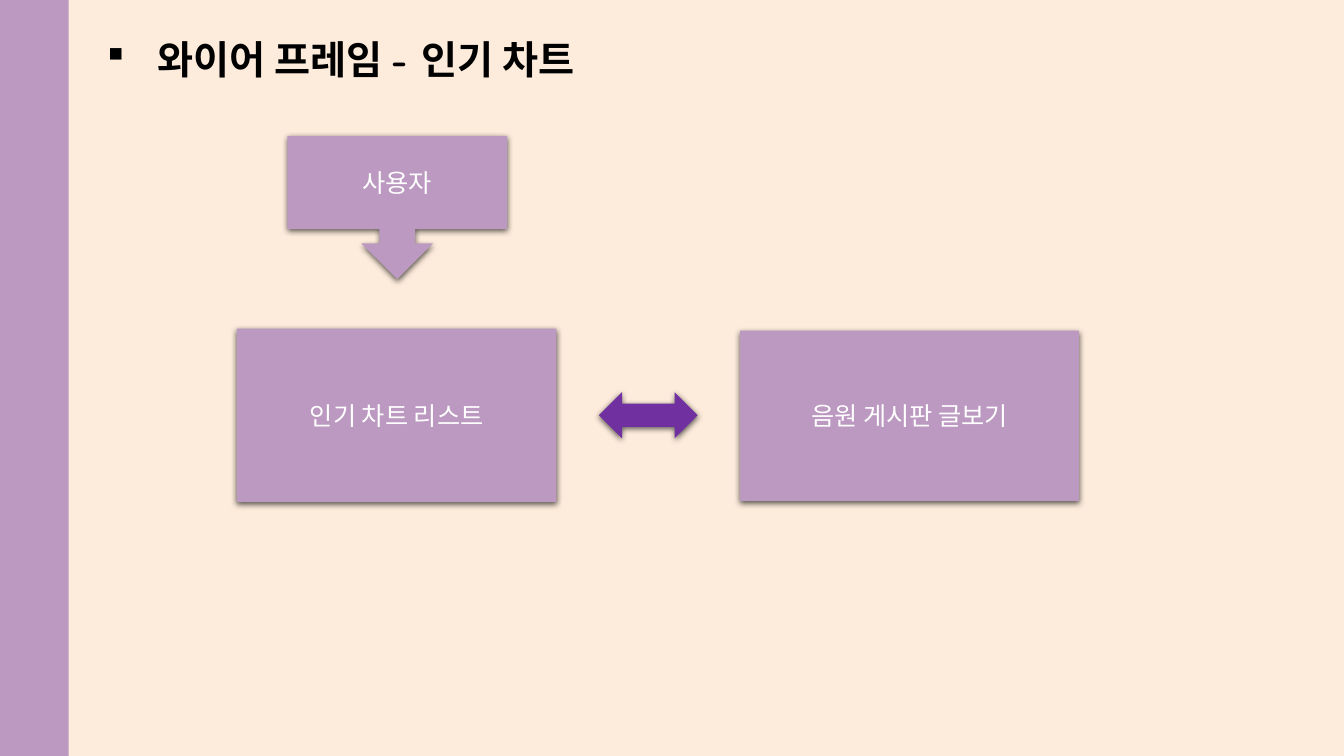
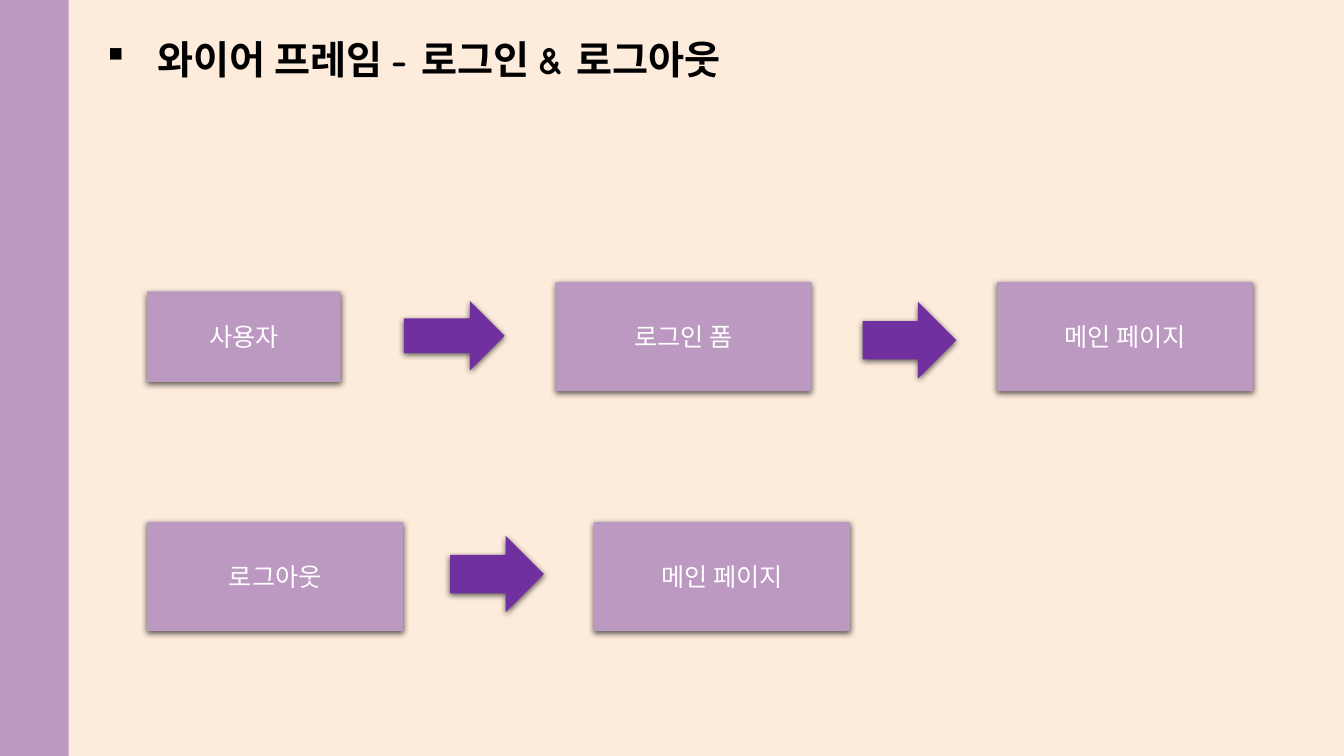
from dataclasses import dataclass

from lxml import etree
from pptx import Presentation
from pptx import util as u
from pptx.dml.color import RGBColor
from pptx.enum import shapes, text
from pptx.oxml.ns import qn

EMU_PER_PX = 9144
WIDTH, HEIGHT = 1333, 750
CREAM, LILAC, PURPLE = "FDECDC", "BC99C1", "7030A0"
BLACK, WHITE = "000000", "FFFFFF"
TITLE_FONT, BODY_FONT = "Comic Neue", "Noto Sans CJK KR"
KIND = shapes.MSO_SHAPE
FOOTERS = (
    shapes.PP_PLACEHOLDER.DATE,
    shapes.PP_PLACEHOLDER.FOOTER,
    shapes.PP_PLACEHOLDER.SLIDE_NUMBER,
)


@dataclass(frozen=True)
class Node:
    label: str
    left: int
    top: int
    width: int = 254
    height: int = 108
    kind: KIND = KIND.RECTANGLE


@dataclass(frozen=True)
class Arrow:
    left: int
    top: int
    width: int = 76
    height: int = 93
    kind: KIND = KIND.DOWN_ARROW
    rotation: int = 270


@dataclass(frozen=True)
class Panel:
    left: int
    width: int
    color: str


@dataclass(frozen=True)
class Page:
    title: str
    title_width: int
    nodes: tuple[Node, ...]
    arrows: tuple[Arrow, ...]


PANELS = (Panel(1, WIDTH - 1, CREAM), Panel(0, 68, LILAC))
PAGES = (
    Page(
        "와이어 프레임\u00a0- 인기 차트",
        689,
        (
            Node("인기 차트 리스트", 235, 326, 317, 172),
            Node("사용자", 285, 135, 218, 142, KIND.DOWN_ARROW_CALLOUT),
            Node("음원 게시판 글보기", 734, 328, 336, 169),
        ),
        (Arrow(620, 363, 46, 98, KIND.UP_DOWN_ARROW, 90),),
    ),
    Page(
        "와이어 프레임\u00a0- 로그인 & 로그아웃",
        728,
        (
            Node("사용자", 146, 289, 192, 90),
            Node("로그인 폼", 551, 280),
            Node("메인 페이지", 989, 280),
            Node("로그아웃", 146, 518),
            Node("메인 페이지", 589, 518),
        ),
        (Arrow(416, 283, 69, 100), Arrow(864, 291), Arrow(455, 523)),
    ),
)


def px(length: int) -> u.Emu:
    """Turn a length in px into EMU."""
    return u.Emu(length * EMU_PER_PX)


def color(code: str) -> RGBColor:
    """Turn a hex string into a colour."""
    return RGBColor.from_string(code)


def format_run(run, font: str, size: int, code: str, bold: bool = False) -> None:
    """Give a run its Latin and East Asian font, size and colour."""
    run.font.name = font
    run.font.size = u.Pt(size)
    run.font.bold = bold
    run.font.color.rgb = color(code)
    east_asian = etree.Element(qn("a:ea"), typeface=BODY_FONT)
    run.font._element.find(qn("a:latin")).addnext(east_asian)


def add_block(slide, kind: KIND, left: int, top: int, width: int, height: int, code: str):
    """Add a flat preset shape without outline or shadow."""
    shape = slide.shapes.add_shape(kind, px(left), px(top), px(width), px(height))
    shape.fill.solid()
    shape.fill.fore_color.rgb = color(code)
    shape.line.fill.background()
    shape.shadow.inherit = False
    return shape


def add_shadow(shape) -> None:
    """Cast a soft shadow straight down."""
    effects = shape.element.spPr.find(qn("a:effectLst"))
    shadow = etree.SubElement(
        effects, qn("a:outerShdw"), blurRad=str(u.Pt(4.5)), dist=str(u.Pt(1.5)),
        dir="5400000", algn="ctr", rotWithShape="0",
    )
    tint = etree.SubElement(shadow, qn("a:srgbClr"), val=BLACK)
    etree.SubElement(tint, qn("a:alpha"), val="63000")


def add_node(slide, node: Node) -> None:
    """Draw a labelled step of the flow."""
    shape = add_block(slide, node.kind, node.left, node.top, node.width, node.height, LILAC)
    add_shadow(shape)
    frame = shape.text_frame
    frame.text = node.label
    frame.word_wrap = True
    frame.vertical_anchor = text.MSO_ANCHOR.MIDDLE
    paragraph = frame.paragraphs[0]
    paragraph.alignment = text.PP_ALIGN.CENTER
    format_run(paragraph.runs[0], BODY_FONT, 18, WHITE)


def add_arrow(slide, arrow: Arrow) -> None:
    """Draw a block arrow between two steps."""
    shape = add_block(slide, arrow.kind, arrow.left, arrow.top, arrow.width, arrow.height, PURPLE)
    shape.rotation = arrow.rotation
    add_shadow(shape)


def set_title(slide, title: str, width: int) -> None:
    """Fill the title placeholder as one bulleted bold line."""
    shape = slide.shapes.title
    shape.left, shape.top, shape.width, shape.height = px(96), px(30), px(width), px(57)
    frame = shape.text_frame
    frame.text = title
    frame.word_wrap = True
    frame.auto_size = text.MSO_AUTO_SIZE.SHAPE_TO_FIT_TEXT
    frame.vertical_anchor = text.MSO_ANCHOR.MIDDLE
    paragraph = frame.paragraphs[0]
    paragraph.alignment = text.PP_ALIGN.LEFT
    properties = paragraph._p.get_or_add_pPr()
    properties.set("marL", str(u.Inches(0.5)))
    properties.set("indent", str(-u.Inches(0.5)))
    etree.SubElement(properties, qn("a:buFont"), typeface="Wingdings", charset="2")
    etree.SubElement(properties, qn("a:buChar"), char="§")
    format_run(paragraph.runs[0], TITLE_FONT, 28, BLACK, bold=True)


def remove_footers(template) -> None:
    """Drop the unused date, footer and number placeholders."""
    for placeholder in list(template.placeholders):
        if placeholder.placeholder_format.type in FOOTERS:
            template.shapes.element.remove(placeholder.element)


def decorate_master(master, slide) -> None:
    """Move the page panel and side band behind everything on the master."""
    for order, panel in enumerate(PANELS):
        shape = add_block(slide, KIND.RECTANGLE, panel.left, 0, panel.width, HEIGHT, panel.color)
        shape.element.nvSpPr.cNvPr.set("id", str(90 + order))
        master.shapes.element.insert(2 + order, shape.element)


def main() -> None:
    """Build and save the presentation."""
    presentation = Presentation()
    presentation.slide_width, presentation.slide_height = px(WIDTH), px(HEIGHT)
    layout = presentation.slide_layouts[5]
    master = presentation.slide_master
    for template in (layout, master):
        remove_footers(template)
    for number, page in enumerate(PAGES):
        slide = presentation.slides.add_slide(layout)
        if number == 0:
            decorate_master(master, slide)
        set_title(slide, page.title, page.title_width)
        for node in page.nodes:
            add_node(slide, node)
        for arrow in page.arrows:
            add_arrow(slide, arrow)
    presentation.save("out.pptx")


if __name__ == "__main__":
    main()
